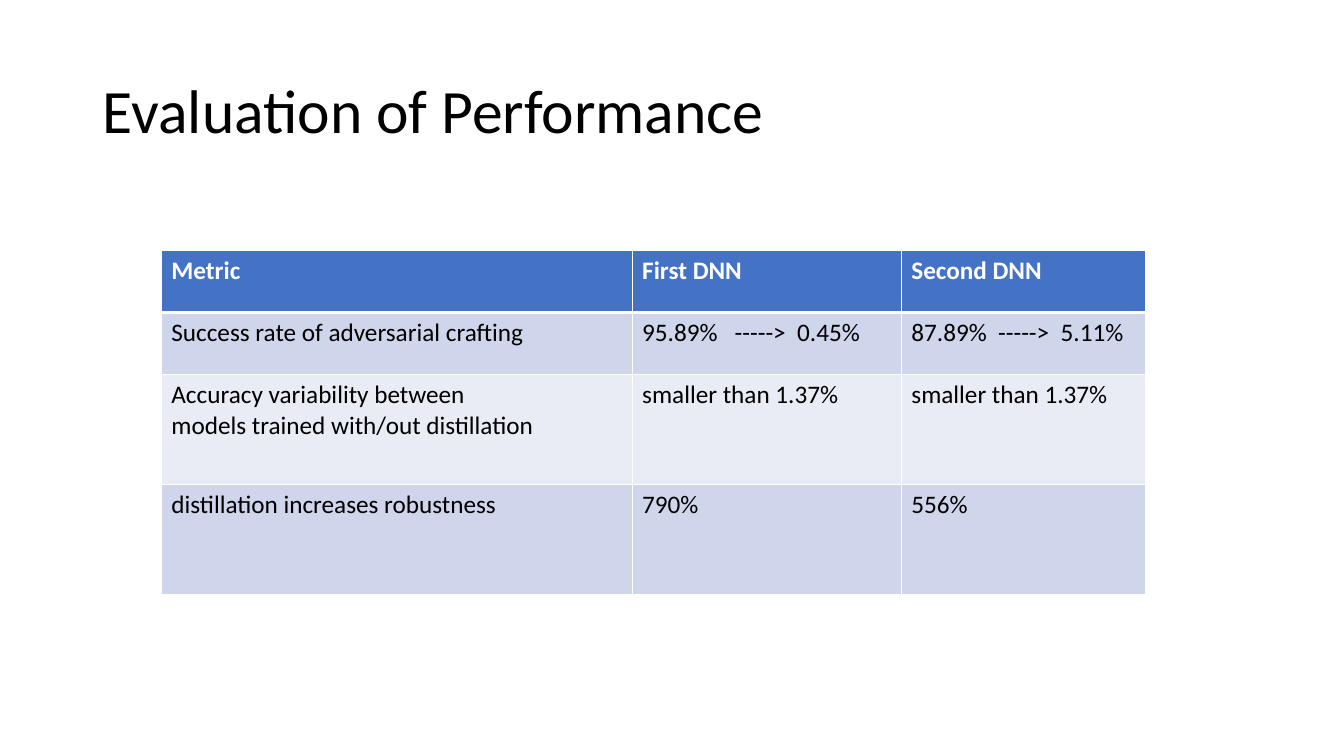
from dataclasses import dataclass
from lxml.etree import SubElement
from pptx import Presentation
from pptx.dml.color import RGBColor as RGB
from pptx.enum.text import MSO_ANCHOR as Anchor, MSO_AUTO_SIZE as AutoSize, PP_ALIGN as Align
from pptx.oxml.ns import qn
from pptx.util import Inches, Pt


@dataclass(frozen=True)
class Theme:
    font: str = "Calibri"
    title_size: int = 44
    cell_size: int = 18
    text: str = "000000"
    light: str = "FFFFFF"
    header: str = "4472C4"
    bands: tuple = ("CFD5EA", "E9EBF5")
    thin: int = 1
    thick: int = 3


THEME = Theme()
WIDTH, HEIGHT = 13.33, 7.5
TITLE_BOX = (0.92, 0.4, 11.5, 1.45)
TABLE_BOX = (1.6, 2.48, 9.76, 3.42)
COLUMNS = (4.67, 2.67, 2.42)
ROWS = (0.62, 0.62, 1.09, 1.09)
RESULTS = (
    ("Metric", "First DNN", "Second DNN"),
    ("Success rate of adversarial crafting", "95.89%   ----->  0.45%", "87.89%  ----->  5.11%"),
    ("Accuracy variability between\nmodels trained with/out distillation",
     "smaller than 1.37%", "smaller than 1.37%"),
    ("distillation increases robustness", "790%", "556%"),
)


def write(tf, text, size=THEME.cell_size, color=THEME.text, bold=False, spacing=1.0):
    tf.text = text
    for p in tf.paragraphs:
        p.alignment = Align.LEFT
        p.line_spacing = spacing
        for r in p.runs:
            r.font.name = THEME.font
            r.font.size = Pt(size)
            r.font.bold = bold
            r.font.color.rgb = RGB.from_string(color)


def add_borders(cell, top, bottom):
    tc_pr = cell._tc.get_or_add_tcPr()
    sides = (("L", THEME.thin), ("R", THEME.thin), ("T", top), ("B", bottom))
    for i, (side, width) in enumerate(sides):
        ln = SubElement(tc_pr, qn(f"a:ln{side}"), w=str(Pt(width)))
        fill = SubElement(ln, qn("a:solidFill"))
        SubElement(fill, qn("a:srgbClr"), val=THEME.light)
        tc_pr.insert(i, ln)


def add_title(s, box, text):
    sp = s.shapes.title
    sp.left, sp.top, sp.width, sp.height = map(Inches, box)
    tf = sp.text_frame
    tf.auto_size = AutoSize.NONE
    tf.vertical_anchor = Anchor.MIDDLE
    write(tf, text, size=THEME.title_size, spacing=0.9)


def add_results(s, box, rows):
    _, _, width, height = box
    table = s.shapes.add_table(len(rows), len(rows[0]), *map(Inches, box)).table
    for column, share in zip(table.columns, COLUMNS):
        column.width = Inches(width * share / sum(COLUMNS))
    for row, share in zip(table.rows, ROWS):
        row.height = Inches(height * share / sum(ROWS))
    for i, values in enumerate(rows):
        header = i == 0
        fill = THEME.header if header else THEME.bands[(i - 1) % 2]
        top = THEME.thick if i == 1 else THEME.thin
        bottom = THEME.thick if header else THEME.thin
        for j, value in enumerate(values):
            cell = table.cell(i, j)
            cell.fill.solid()
            cell.fill.fore_color.rgb = RGB.from_string(fill)
            add_borders(cell, top, bottom)
            write(cell.text_frame, value, bold=header,
                  color=THEME.light if header else THEME.text)


def main():
    prs = Presentation()
    prs.slide_width, prs.slide_height = Inches(WIDTH), Inches(HEIGHT)
    s = prs.slides.add_slide(prs.slide_layouts.get_by_name("Title Only"))
    add_title(s, TITLE_BOX, "Evaluation of Performance")
    add_results(s, TABLE_BOX, RESULTS)
    prs.save("out.pptx")


if __name__ == "__main__":
    main()
